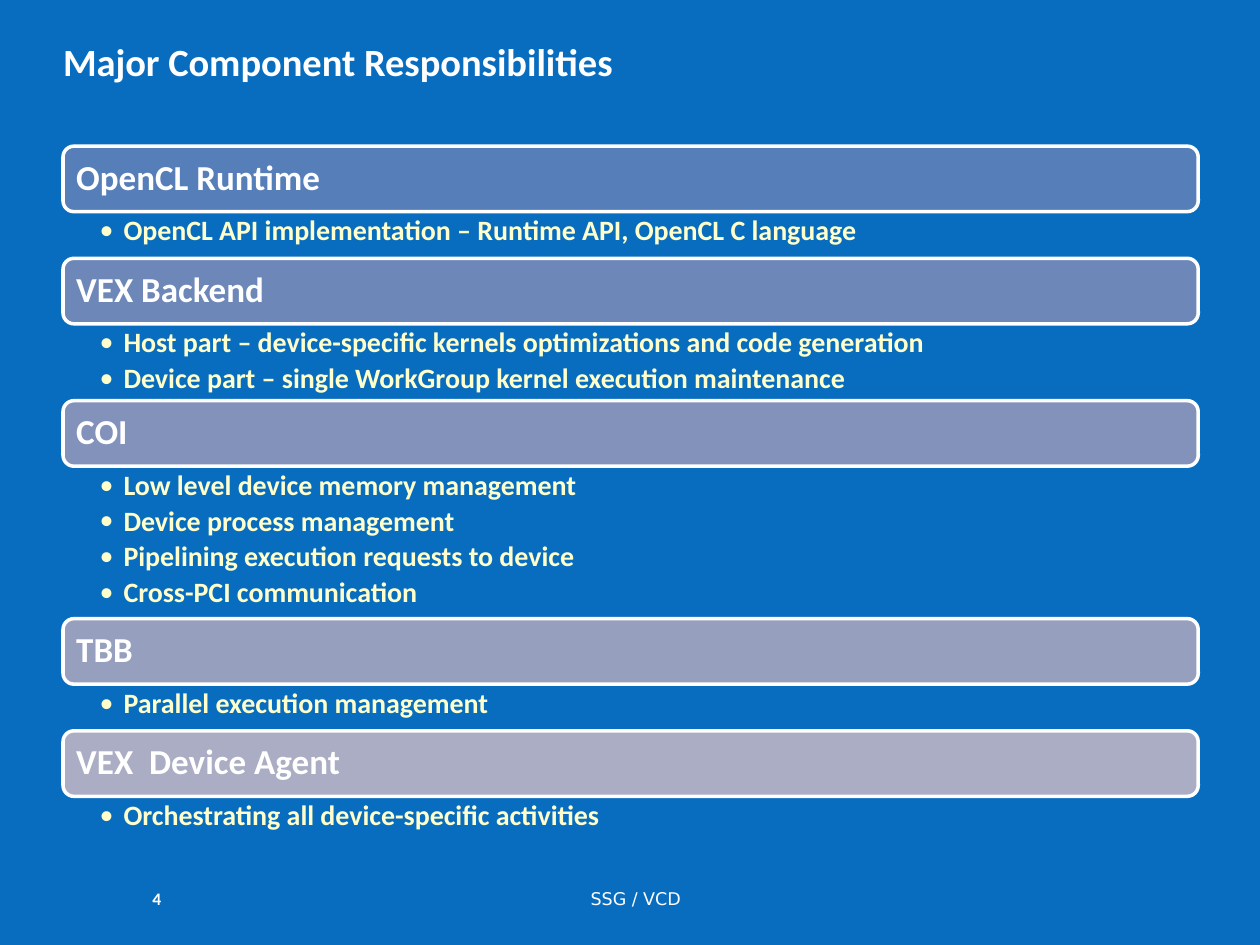
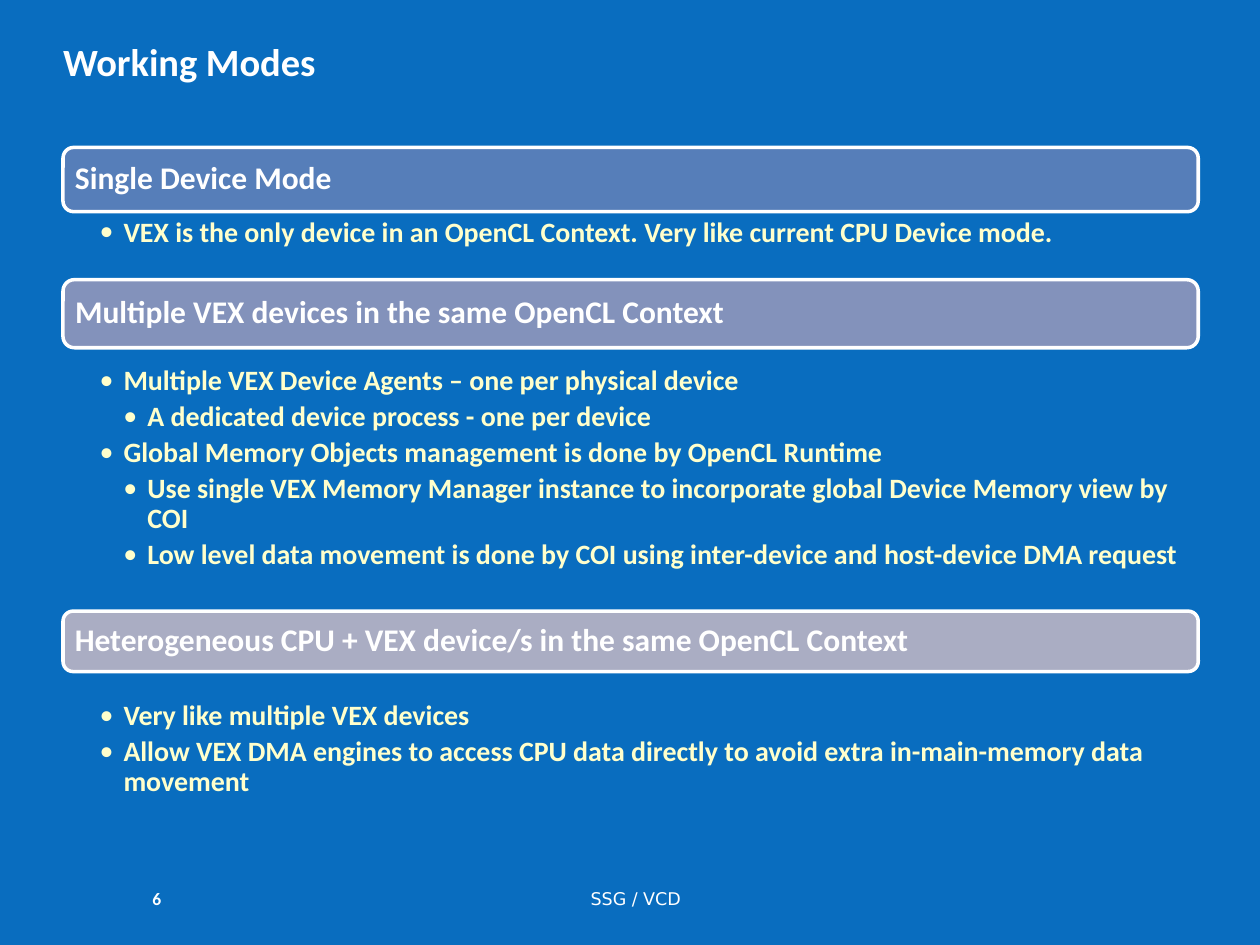
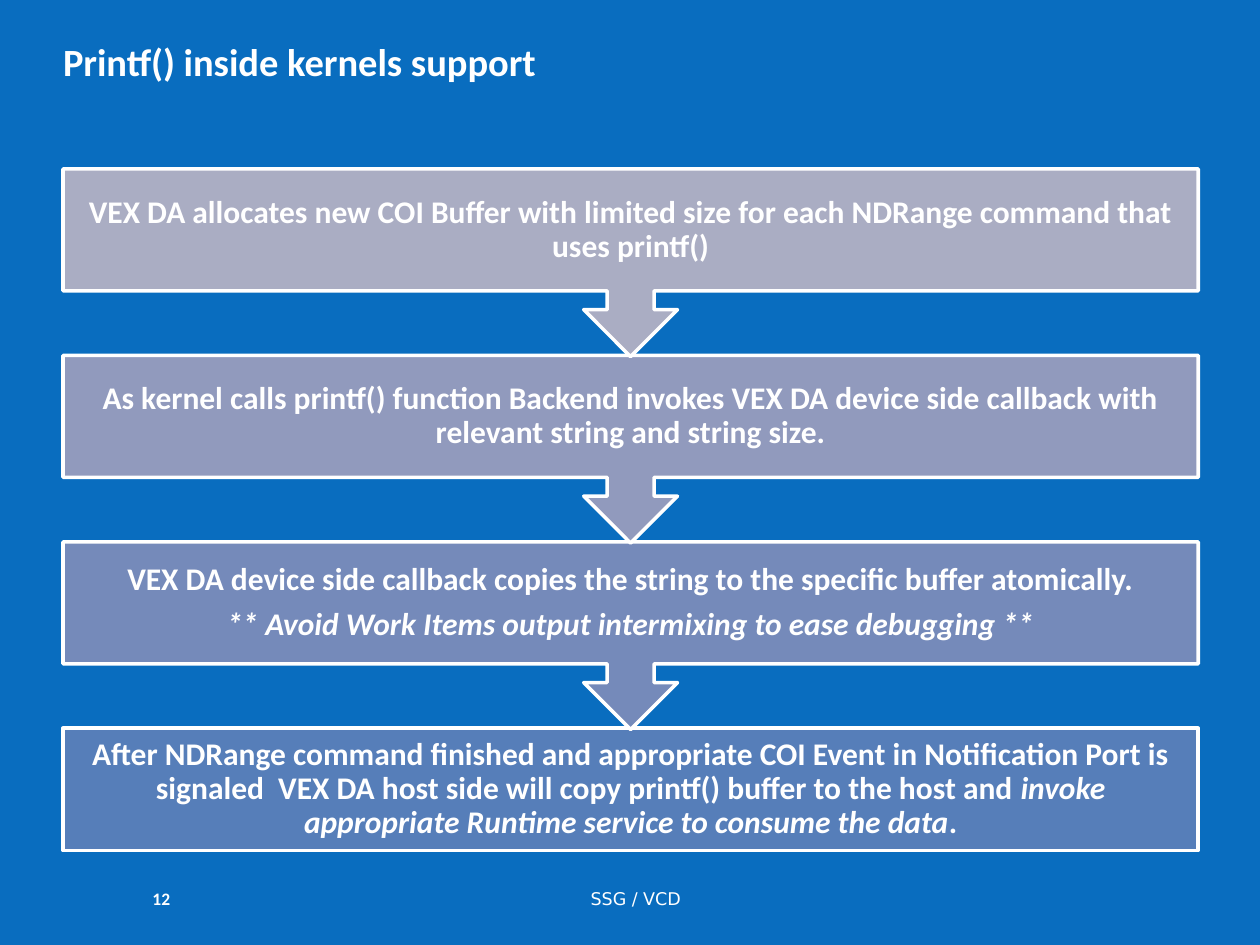
import dataclasses

import lxml.etree
import pptx
import pptx.dml.color
import pptx.enum.shapes
import pptx.enum.text
import pptx.oxml.ns
import pptx.util

SHAPE = pptx.enum.shapes.MSO_SHAPE
ANCHOR = pptx.enum.text.MSO_ANCHOR
ALIGN = pptx.enum.text.PP_ALIGN

WIDTH, HEIGHT = 10, 7.5
LEFT, CONTENT_WIDTH = 0.5, 9.01
BLUE, WHITE, CREAM = "096DBF", "FFFFFF", "FFFFCC"
BAND_COLORS = ("567EB9", "6D87B9", "8392BB", "979FBE", "AAADC3")
STEP_COLORS = ("AAADC3", "919ABD", "758ABA", "567EB9")
MAIN_FONT = "Calibri"
BULLET_INDENT = 0.19


@dataclasses.dataclass
class Section:
    """A heading band and its bullets, each bullet a (depth, text) pair."""
    heading: str
    bullets: tuple
    color: str
    top: float = 0
    band_height: float = 0.52
    body_top: float = 0
    body_height: float = 0.36


COMPONENTS = (
    ("OpenCL Runtime", 0.36, (
        (1, "OpenCL API implementation – Runtime API, OpenCL C language"),)),
    ("VEX Backend", 0.6, (
        (1, "Host part – device-specific kernels optimizations and code generation"),
        (1, "Device part – single WorkGroup kernel execution maintenance"))),
    ("COI", 1.2, (
        (1, "Low level device memory management"),
        (1, "Device process management"),
        (1, "Pipelining execution requests to device"),
        (1, "Cross-PCI communication"))),
    ("TBB", 0.36, ((1, "Parallel execution management"),)),
    ("VEX  Device Agent", 0.36, (
        (1, "Orchestrating all device-specific activities"),)),
)

MODES = (
    Section("Single Device Mode", (
        (1, "VEX is the only device in an OpenCL Context. "
            "Very like current CPU Device mode."),
    ), BAND_COLORS[0], 1.17, 0.51, 1.71, 0.83),
    Section("Multiple VEX devices in the same OpenCL Context", (
        (1, "Multiple VEX Device Agents – one per physical device"),
        (2, "A dedicated device process - one per device"),
        (1, "Global Memory Objects management is done by OpenCL Runtime"),
        (2, "Use single VEX Memory Manager instance to incorporate "
            "global Device Memory view by COI"),
        (2, "Low level data movement is done by COI using "
            "inter-device and host-device DMA request"),
    ), BAND_COLORS[2], 2.22, 0.54, 2.89, 1.98),
    Section("Heterogeneous CPU + VEX device/s in the same OpenCL Context", (
        (1, "Very like multiple VEX devices"),
        (1, "Allow VEX DMA engines to access CPU data directly "
            "to avoid extra in-main-memory data movement"),
    ), BAND_COLORS[4], 4.85, 0.48, 5.55, 0.83),
)

# Each paragraph lists its spans, upright and italic in turn.
PRINTF_STEPS = (
    [("VEX DA allocates new COI Buffer with limited size for each "
      "NDRange command that uses printf()",)],
    [("As kernel calls printf() function Backend invokes VEX DA device side "
      "callback with relevant string and string size.",)],
    [("VEX DA device side callback copies the string to the specific "
      "buffer atomically.",),
     ("", "** Avoid Work Items output intermixing to ease debugging **")],
    [("After NDRange command finished and appropriate COI Event in "
      "Notification Port is signaled  VEX DA host side will copy printf() "
      "buffer to the host and ",
      "invoke appropriate Runtime service to consume the data", ".")],
)


def rgb(color):
    return pptx.dml.color.RGBColor.from_string(color)


def inches(*lengths):
    return [pptx.util.Inches(length) for length in lengths]


def add_bullet(para, depth):
    properties = para._p.get_or_add_pPr()
    indent = pptx.util.Inches(BULLET_INDENT)
    properties.set("marL", str(indent * depth))
    properties.set("indent", str(-indent))
    for tag, name, value in (("a:buFont", "typeface", MAIN_FONT),
                             ("a:buChar", "char", "•")):
        lxml.etree.SubElement(properties, pptx.oxml.ns.qn(tag)).set(name, value)


def write_text(frame, paragraphs, size, color=WHITE, font=MAIN_FONT, bold=True,
               align=ALIGN.LEFT, anchor=ANCHOR.MIDDLE, insets=(0, 0, 0, 0),
               spacing=1.0, gap=0, depths=()):
    """Fill a frame; gap is the space between paragraphs as a share of the size."""
    frame.word_wrap = True
    frame.auto_size = pptx.enum.text.MSO_AUTO_SIZE.NONE
    frame.vertical_anchor = anchor
    (frame.margin_left, frame.margin_top,
     frame.margin_right, frame.margin_bottom) = inches(*insets)
    for index, spans in enumerate(paragraphs):
        para = frame.add_paragraph() if index else frame.paragraphs[0]
        para.alignment = align
        para.line_spacing = spacing
        para.space_before = pptx.util.Pt(gap * size if index else 0)
        if depths:
            add_bullet(para, depths[index])
        for position, text in enumerate(spans):
            if not text:
                continue
            span = para.add_run()
            span.text = text
            span.font.name = font
            span.font.size = pptx.util.Pt(size)
            span.font.bold = bold
            span.font.italic = position % 2 == 1
            span.font.color.rgb = rgb(color)


def add_panel(page, kind, box, color):
    panel = page.shapes.add_shape(kind, *inches(*box))
    panel.shadow.inherit = False
    panel.fill.solid()
    panel.fill.fore_color.rgb = rgb(color)
    panel.line.color.rgb = rgb(WHITE)
    panel.line.width = pptx.util.Pt(2)
    return panel


def add_page(deck, title, number):
    page = deck.slides.add_slide(deck.slide_layouts.get_by_name("Title Only"))
    heading = page.shapes.title
    heading.left, heading.top, heading.width, heading.height = inches(
        LEFT, 0.3, CONTENT_WIDTH, 0.78)
    write_text(heading.text_frame, [(title,)], 22, anchor=ANCHOR.TOP)
    footer = page.shapes.add_textbox(*inches(3.42, 7.05, 3.25, 0.17))
    write_text(footer.text_frame, [("SSG / VCD",)], 10, font="DejaVu Sans",
               bold=False, align=ALIGN.CENTER)
    page_number = page.shapes.add_textbox(*inches(1.21, 7.05, 0.45, 0.17))
    write_text(page_number.text_frame, [(str(number),)], 10)
    return page


def add_section(page, section, heading_size, heading_inset, body_insets):
    band = add_panel(page, SHAPE.ROUNDED_RECTANGLE,
                     (LEFT, section.top, CONTENT_WIDTH, section.band_height),
                     section.color)
    write_text(band.text_frame, [(section.heading,)], heading_size,
               insets=(heading_inset,) * 4, spacing=0.9)
    body = page.shapes.add_textbox(
        *inches(LEFT, section.body_top, CONTENT_WIDTH, section.body_height))
    write_text(body.text_frame, [(text,) for _, text in section.bullets], 16,
               color=CREAM, anchor=ANCHOR.TOP, insets=body_insets,
               spacing=0.9, gap=0.2,
               depths=[depth for depth, _ in section.bullets])


def stack_components(top):
    """Yield the component sections, each starting where the last one ends."""
    for (heading, body_height, bullets), color in zip(COMPONENTS, BAND_COLORS):
        section = Section(heading, bullets, color, top, body_height=body_height)
        section.body_top = top + section.band_height + 0.01
        yield section
        top = section.body_top + body_height


def add_components_page(deck):
    page = add_page(deck, "Major Component Responsibilities", 4)
    for section in stack_components(1.16):
        add_section(page, section, 20, 0.08, (0.29, 0.03, 0.16, 0.03))


def add_modes_page(deck):
    page = add_page(deck, "Working Modes", 6)
    for section in MODES:
        add_section(page, section, 18, 0.07, (0.29, 0.02, 0.12, 0.02))


def add_printf_page(deck):
    page = add_page(deck, "Printf() inside kernels support", 12)
    top, pitch = 1.34, 1.48
    last = len(PRINTF_STEPS) - 1
    # Built from the bottom up, so that each arrow tip lies over the next step.
    for index in range(last, -1, -1):
        kind, height = ((SHAPE.RECTANGLE, 0.97) if index == last
                        else (SHAPE.DOWN_ARROW_CALLOUT, 1.49))
        step = add_panel(page, kind,
                         (LEFT, top + index * pitch, CONTENT_WIDTH, height),
                         STEP_COLORS[index])
        write_text(step.text_frame, PRINTF_STEPS[index], 18, align=ALIGN.CENTER,
                   insets=(0.14,) * 4, spacing=0.9, gap=0.35)


def main():
    deck = pptx.Presentation()
    deck.slide_width, deck.slide_height = inches(WIDTH, HEIGHT)
    background = deck.slide_master.background.fill
    background.solid()
    background.fore_color.rgb = rgb(BLUE)
    add_components_page(deck)
    add_modes_page(deck)
    add_printf_page(deck)
    deck.save("out.pptx")


if __name__ == "__main__":
    main()
